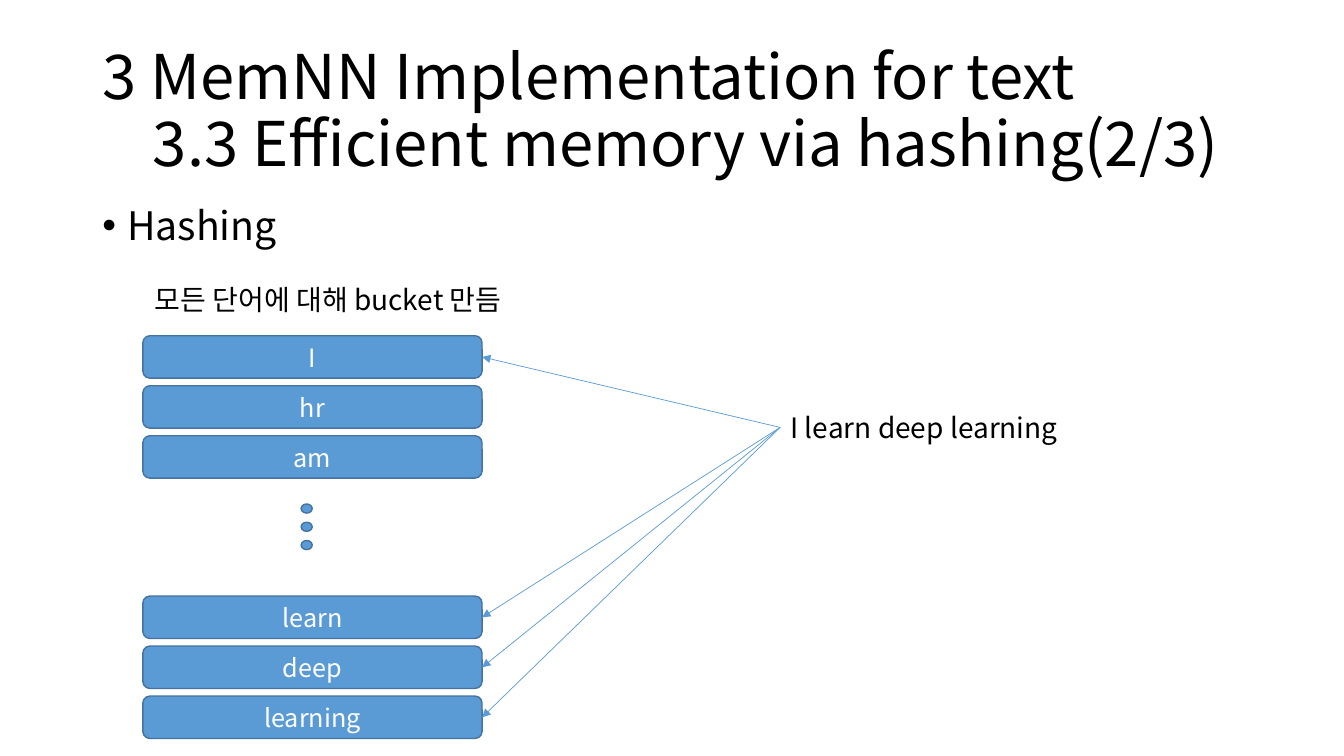
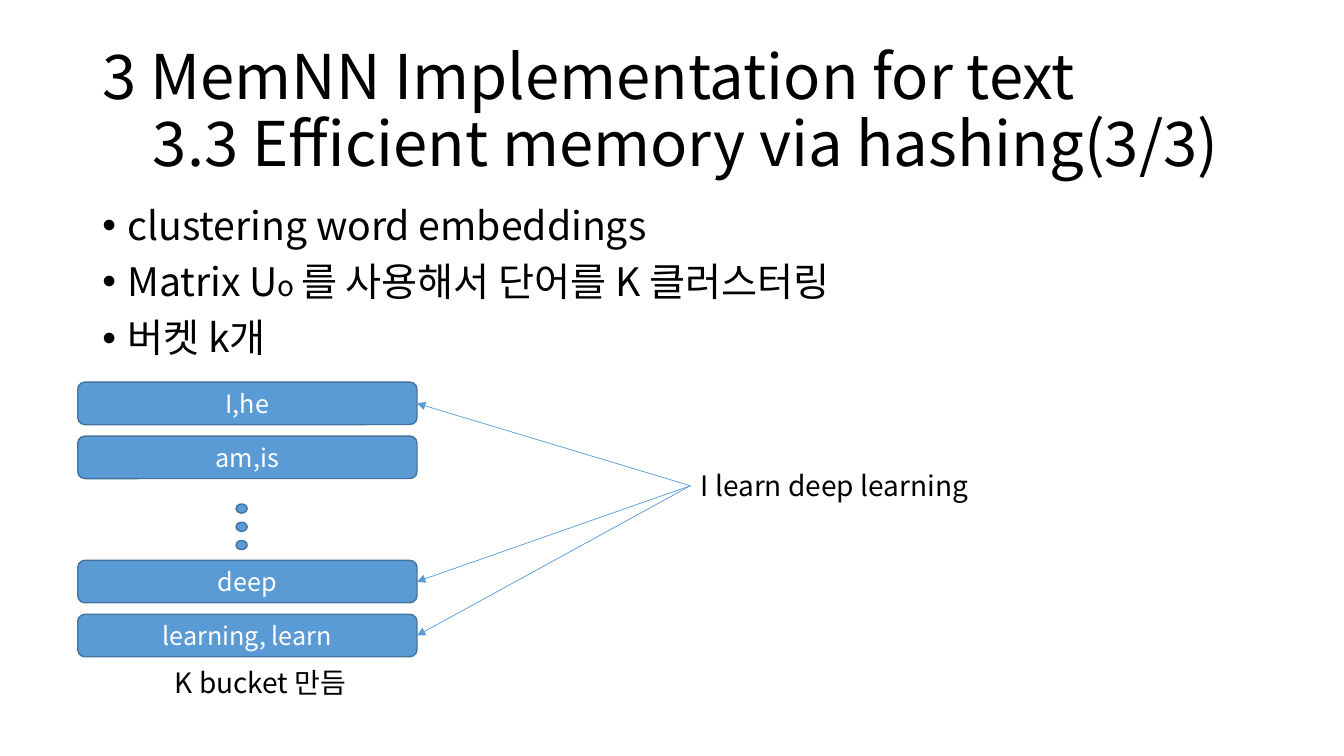
import pptx
import pptx.util
import pptx.dml.color
import pptx.enum.shapes
import pptx.enum.text
import pptx.oxml.ns
from dataclasses import dataclass
from lxml import etree
from pptx.util import Cm, Pt

qn = pptx.oxml.ns.qn
RGB = pptx.dml.color.RGBColor
SHAPE = pptx.enum.shapes.MSO_SHAPE
ALIGN = pptx.enum.text.PP_ALIGN
ANCHOR = pptx.enum.text.MSO_ANCHOR


@dataclass(frozen=True)
class Theme:
    font: str = "Noto Sans CJK KR"
    text: RGB = RGB(0x00, 0x00, 0x00)
    inverse: RGB = RGB(0xFF, 0xFF, 0xFF)
    accent: RGB = RGB(0x5B, 0x9B, 0xD5)
    edge: RGB = RGB(0x43, 0x73, 0x9E)
    title: int = 44
    body: int = 28
    label: int = 20
    bucket: int = 18


THEME = Theme()
TITLE = "3 MemNN Implementation for text\v\t3.3 Efficient memory via hashing({}/3)"
SENTENCE = "I learn deep learning"
BUCKET_W, BUCKET_H = 8.55, 1.07
LABEL_H = 1.12
DOT_W, DOT_H, DOT_PITCH, DOT_X, DOT_TOP = 0.28, 0.23, 0.46, 3.99, 12.7

SLIDES = [
    {
        "page": 2,
        "bullets": [[("Hashing", None)]],
        "left": 3.6,
        "pitch": 1.26,
        "groups": [(8.46, ["I", "hr", "am"]),
                   (15.02, ["learn", "deep", "learning"])],
        "hits": ["I", "learn", "deep", "learning"],
        "caption": ("모든 단어에 대해 bucket 만듬", 3.23, 6.99, 10.08),
        "sentence": (SENTENCE, 19.66, 10.21, 7.26),
    },
    {
        "page": 3,
        "bullets": [
            [("clustering word embeddings", None)],
            [("Matrix U", None), ("o ", THEME.label),
             ("를 사용해서 단어를 K 클러스터링", None)],
            [("버켓 k개", None)],
        ],
        "left": 1.96,
        "pitch": 1.36,
        "groups": [(9.63, ["I,he", "am,is"]),
                   (14.12, ["deep", "learning, learn"])],
        "hits": ["I,he", "deep", "learning, learn"],
        "caption": ("K bucket 만듬", 3.94, 16.64, 5.26),
        "sentence": (SENTENCE, 17.4, 11.68, 7.26),
    },
]


def style(p, size, color, align):
    p.alignment = align
    p.font.size = Pt(size)
    p.font.name = THEME.font
    p.font.color.rgb = color
    props = p._p.get_or_add_pPr().find(qn("a:defRPr"))
    etree.SubElement(props, qn("a:ea"), typeface=THEME.font)


def add_title(s, page):
    title = s.shapes.title
    title.left, title.top = Cm(2.33), Cm(1.01)
    title.width, title.height = Cm(31.12), Cm(3.68)
    tf = title.text_frame
    tf.text = TITLE.format(page)
    tf.auto_size = pptx.enum.text.MSO_AUTO_SIZE.NONE
    tf.vertical_anchor = ANCHOR.MIDDLE
    p = tf.paragraphs[0]
    p.line_spacing = 0.9
    style(p, THEME.title, THEME.text, ALIGN.LEFT)


def add_bullets(s, bullets):
    tf = s.shapes.add_textbox(Cm(2.33), Cm(5.07), Cm(29.21), Cm(12.09)).text_frame
    tf.word_wrap = True
    for i, runs in enumerate(bullets):
        p = tf.add_paragraph() if i else tf.paragraphs[0]
        p.line_spacing = 0.9
        p.space_before = Pt(10)
        props = p._p.get_or_add_pPr()
        props.set("marL", str(Cm(0.63)))
        props.set("indent", str(Cm(-0.63)))
        etree.SubElement(props, qn("a:buFont"), typeface="Arial")
        etree.SubElement(props, qn("a:buChar"), char="•")
        style(p, THEME.body, THEME.text, ALIGN.LEFT)
        for text, size in runs:
            r = p.add_run()
            r.text = text
            if size:
                r.font.size = Pt(size)


def add_label(s, text, left, top, width):
    label = s.shapes.add_textbox(Cm(left), Cm(top), Cm(width), Cm(LABEL_H))
    tf = label.text_frame
    tf.word_wrap = False
    tf.text = text
    style(tf.paragraphs[0], THEME.label, THEME.text, ALIGN.CENTER)
    return label


def add_filled(s, kind, left, top, width, height):
    sp = s.shapes.add_shape(kind, Cm(left), Cm(top), Cm(width), Cm(height))
    sp.shadow.inherit = False
    sp.fill.solid()
    sp.fill.fore_color.rgb = THEME.accent
    sp.line.color.rgb = THEME.edge
    sp.line.width = Pt(1)
    return sp


def add_bucket(s, text, left, top):
    sp = add_filled(s, SHAPE.ROUNDED_RECTANGLE, left, top, BUCKET_W, BUCKET_H)
    tf = sp.text_frame
    tf.text = text
    tf.vertical_anchor = ANCHOR.MIDDLE
    style(tf.paragraphs[0], THEME.bucket, THEME.inverse, ALIGN.CENTER)
    return sp


def add_arrow(s, source, target):
    arrow = s.shapes.add_connector(
        pptx.enum.shapes.MSO_CONNECTOR.STRAIGHT, 0, 0, 0, 0)
    arrow.begin_connect(source, 1)
    arrow.end_connect(target, 3)
    arrow.line.color.rgb = THEME.accent
    arrow.line.width = Pt(0.5)
    etree.SubElement(arrow.line._get_or_add_ln(), qn("a:tailEnd"), type="triangle")
    etree.SubElement(arrow._element.spPr, qn("a:effectLst"))


def build_slide(prs, data):
    s = prs.slides.add_slide(prs.slide_layouts.get_by_name("Title Only"))
    add_title(s, data["page"])
    add_bullets(s, data["bullets"])
    buckets = {
        word: add_bucket(s, word, data["left"], top + i * data["pitch"])
        for top, words in data["groups"]
        for i, word in enumerate(words)
    }
    for i in range(3):
        add_filled(s, SHAPE.OVAL, data["left"] + DOT_X, DOT_TOP + i * DOT_PITCH,
                   DOT_W, DOT_H)
    add_label(s, *data["caption"])
    sentence = add_label(s, *data["sentence"])
    for word in data["hits"]:
        add_arrow(s, sentence, buckets[word])


def main():
    prs = pptx.Presentation()
    prs.slide_width, prs.slide_height = Cm(33.87), Cm(19.05)
    for data in SLIDES:
        build_slide(prs, data)
    prs.save("out.pptx")


if __name__ == "__main__":
    main()
